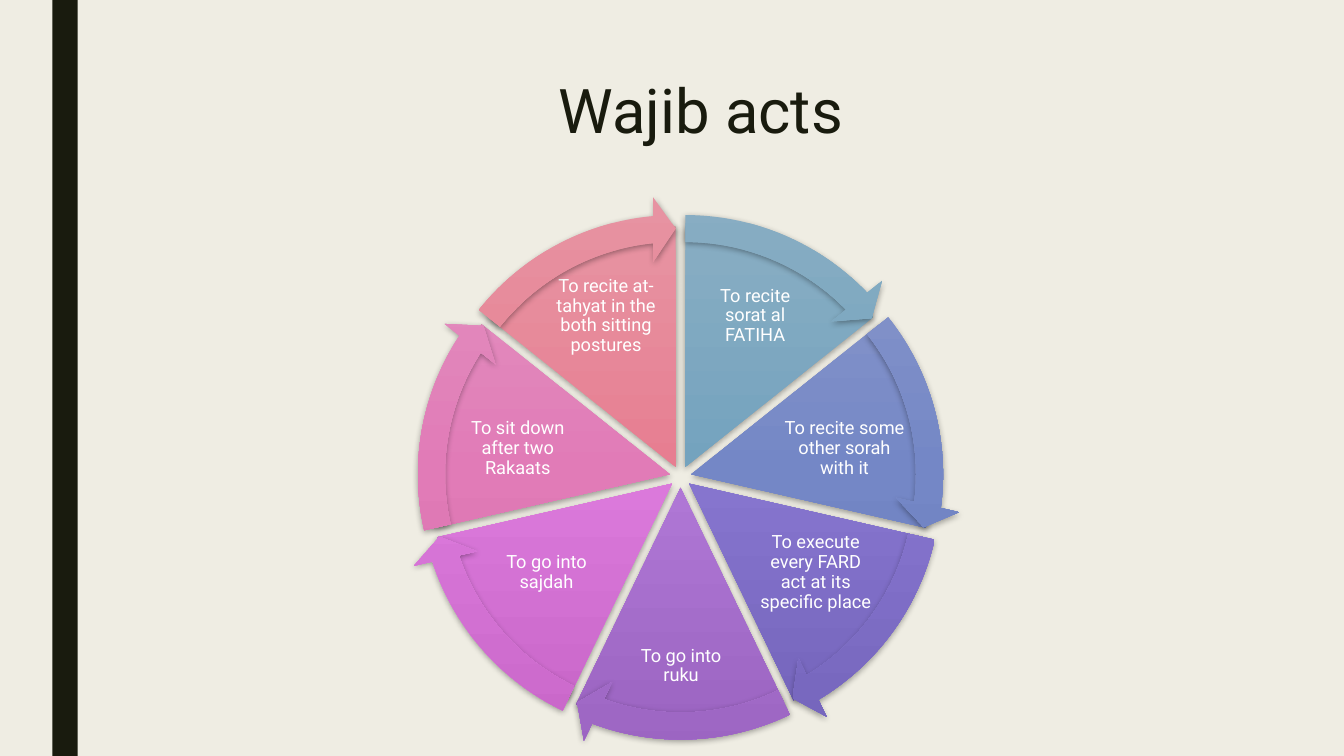
from copy import deepcopy
from dataclasses import dataclass
from math import cos, radians, sin

from lxml.etree import SubElement
from pptx import Presentation
from pptx.dml.color import RGBColor
from pptx.enum.shapes import MSO_SHAPE
from pptx.enum.text import MSO_ANCHOR, MSO_AUTO_SIZE, PP_ALIGN
from pptx.oxml.ns import qn
from pptx.shapes.autoshape import Shape
from pptx.slide import Slide
from pptx.util import Inches, Pt

CREAM = RGBColor(0xEF, 0xED, 0xE3)
DARK = RGBColor(0x19, 0x1B, 0x0E)
WHITE = RGBColor(0xFF, 0xFF, 0xFF)
TEAL = (RGBColor(0x88, 0xAD, 0xC3), RGBColor(0x74, 0xA3, 0xBE), RGBColor(0x63, 0x92, 0xAD))
BLUE = (RGBColor(0x89, 0x97, 0xCA), RGBColor(0x74, 0x87, 0xC6), RGBColor(0x63, 0x75, 0xB4))
INDIGO = (RGBColor(0x97, 0x8B, 0xD0), RGBColor(0x86, 0x75, 0xCE), RGBColor(0x74, 0x64, 0xBB))
PURPLE = (RGBColor(0xB7, 0x8C, 0xD6), RGBColor(0xAF, 0x77, 0xD5), RGBColor(0x9C, 0x65, 0xC2))
ORCHID = (RGBColor(0xDC, 0x8E, 0xDC), RGBColor(0xDB, 0x79, 0xDB), RGBColor(0xC8, 0x66, 0xC8))
PINK = (RGBColor(0xE2, 0x91, 0xBF), RGBColor(0xE1, 0x7B, 0xB7), RGBColor(0xCD, 0x68, 0xA4))
ROSE = (RGBColor(0xE7, 0x93, 0xA2), RGBColor(0xE7, 0x7E, 0x91), RGBColor(0xD3, 0x6B, 0x7D))

FONT = "Roboto"
CENTER_X, CENTER_Y = 6.75, 4.73
OFFSET = 0.11  # distance of each wedge from the wheel centre
PIE_SIZE, ARROW_SIZE = 4.77, 5.37
HEAD_ANGLE = 5.46
DEGREE = 0.6  # adjustment units per degree


@dataclass
class Act:
    text: str
    colors: tuple[RGBColor, RGBColor, RGBColor]
    left: float
    top: float
    width: float
    height: float


ACTS = [
    Act("To recite sorat al FATIHA", TEAL, 6.92, 2.68, 1.14, 0.91),
    Act("To recite some other sorah with it", BLUE, 7.72, 4.05, 1.31, 0.8),
    Act("To execute every FARD act at its specific place", INDIGO, 7.52, 5.24, 1.14, 0.88),
    Act("To go into ruku", PURPLE, 6.2, 6.21, 1.11, 0.8),
    Act("To go into sajdah", ORCHID, 4.85, 5.24, 1.14, 0.88),
    Act("To sit down after two Rakaats", PINK, 4.48, 4.05, 1.31, 0.8),
    Act("To recite at-tahyat in the both sitting postures", ROSE, 5.44, 2.68, 1.14, 0.91),
]
SWEEP = 360 / len(ACTS)


def add_shadow(sp: Shape) -> None:
    sp.shadow.inherit = False
    effects = sp._element.spPr.find(qn("a:effectLst"))
    shadow = SubElement(effects, qn("a:outerShdw"), blurRad=str(Pt(4.5)), dist=str(Pt(1.5)),
                        dir="5400000", algn="ctr", rotWithShape="0")
    color = SubElement(shadow, qn("a:srgbClr"), val="000000")
    SubElement(color, qn("a:alpha"), val="35000")


def fill_gradient(sp: Shape, colors: tuple[RGBColor, RGBColor, RGBColor]) -> None:
    sp.fill.gradient()
    sp.fill.gradient_angle = 270
    stops = sp._element.spPr.find(qn("a:gradFill")).find(qn("a:gsLst"))
    stops.insert(1, deepcopy(stops[0]))
    for stop, position, color in zip(sp.fill.gradient_stops, (0, 0.5, 1), colors):
        stop.position = position
        stop.color.rgb = color


def add_wheel_part(s: Slide, kind: MSO_SHAPE, size: float, index: int,
                   adjustments: list[float]) -> None:
    middle = radians(270 + (index + 0.5) * SWEEP)
    left = CENTER_X + OFFSET * cos(middle) - size / 2
    top = CENTER_Y + OFFSET * sin(middle) - size / 2
    sp = s.shapes.add_shape(kind, Inches(left), Inches(top), Inches(size), Inches(size))
    for i, value in enumerate(adjustments):
        sp.adjustments[i] = value
    fill_gradient(sp, ACTS[index].colors)
    sp.line.fill.background()
    add_shadow(sp)


def add_label(s: Slide, act: Act) -> None:
    box = s.shapes.add_textbox(Inches(act.left), Inches(act.top),
                               Inches(act.width), Inches(act.height))
    tf = box.text_frame
    tf.word_wrap = True
    tf.vertical_anchor = MSO_ANCHOR.MIDDLE
    tf.margin_left = tf.margin_right = tf.margin_top = tf.margin_bottom = Inches(0.02)
    p = tf.paragraphs[0]
    p.alignment = PP_ALIGN.CENTER
    p.line_spacing = 0.9
    r = p.add_run()
    r.text = act.text
    r.font.name, r.font.size = FONT, Pt(13)
    r.font.color.rgb = WHITE


def add_title(s: Slide, text: str) -> None:
    title = s.shapes.title
    title.left, title.top = Inches(1.5), Inches(0.75)
    title.width, title.height = Inches(10.5), Inches(1.62)
    tf = title.text_frame
    tf.auto_size = MSO_AUTO_SIZE.NONE
    tf.vertical_anchor = MSO_ANCHOR.TOP
    tf.margin_left = Inches(4.04)
    p = tf.paragraphs[0]
    p.alignment = PP_ALIGN.LEFT
    p.line_spacing = 0.89
    r = p.add_run()
    r.text = text
    r.font.name, r.font.size = FONT, Pt(44)
    r.font.color.rgb = DARK


def main() -> None:
    prs = Presentation()
    prs.slide_width, prs.slide_height = Inches(13.33), Inches(7.5)
    s = prs.slides.add_slide(prs.slide_layouts[5])

    # Background and side bar
    s.background.fill.solid()
    s.background.fill.fore_color.rgb = CREAM
    bar = s.shapes.add_shape(MSO_SHAPE.RECTANGLE, Inches(0.52), 0, Inches(0.25), Inches(7.5))
    bar.fill.solid()
    bar.fill.fore_color.rgb = DARK
    bar.line.fill.background()
    bar.shadow.inherit = False

    add_title(s, "Wajib acts")

    # Wedges with their labels
    angles = [((270 + i * SWEEP) % 360, (270 + (i + 1) * SWEEP) % 360)
              for i in range(len(ACTS))]
    for i, (start, end) in enumerate(angles):
        add_wheel_part(s, MSO_SHAPE.PIE, PIE_SIZE, i, [start * DEGREE, end * DEGREE])
        add_label(s, ACTS[i])

    # Arrows along the rim
    for i, (start, end) in enumerate(angles):
        add_wheel_part(s, MSO_SHAPE.CIRCULAR_ARROW, ARROW_SIZE, i,
                       [0.05, HEAD_ANGLE * DEGREE, (end - HEAD_ANGLE) * DEGREE,
                        start * DEGREE, 0.06])

    prs.save("out.pptx")


if __name__ == "__main__":
    main()
